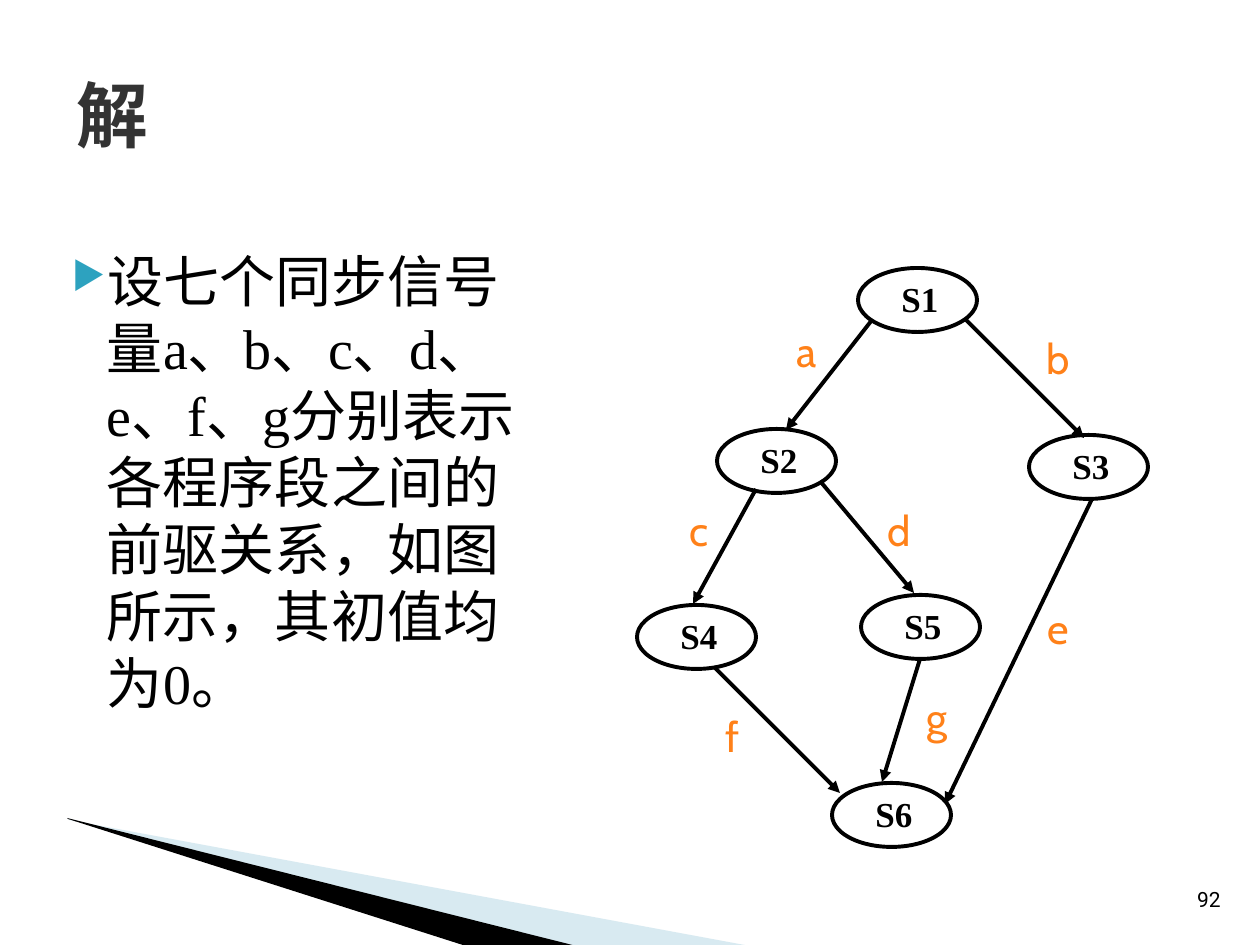
from dataclasses import dataclass

from lxml.etree import SubElement
from pptx import Presentation
from pptx.dml.color import RGBColor
from pptx.enum.shapes import MSO_CONNECTOR as Connector, MSO_SHAPE as Preset
from pptx.enum.text import MSO_ANCHOR as Anchor, PP_ALIGN as Align
from pptx.oxml.ns import qn
from pptx.util import Emu, Pt

SCALE = 914400 / 126


@dataclass(frozen=True)
class Theme:
    """Colours, fonts and type sizes of the slide."""
    ink: str = "000000"
    paper: str = "FFFFFF"
    heading: str = "333333"
    bullet: str = "2DA2BF"
    wedge: str = "9FCBDC"
    signal: str = "FF8119"
    serif: str = "Times New Roman"
    cjk: str = "Noto Sans CJK SC"
    label: str = "Cabin"
    number: str = "Roboto"
    heading_size: float = 41
    body_size: float = 32
    body_leading: float = 38.3
    signal_size: float = 24
    node_size: float = 20
    number_size: float = 12
    stroke: float = 2.25


THEME = Theme()
NODE_SIZE = (119, 64)
NODES = {"S1": (858, 268), "S2": (717, 429), "S3": (1029, 435),
         "S4": (637, 605), "S5": (861, 595), "S6": (832, 783)}
EDGES = [((872, 320), (786, 430)), ((966, 320), (1084, 438)),
         ((756, 489), (693, 604)), ((820, 481), (914, 593)),
         ((1092, 499), (945, 804)), ((714, 667), (840, 793)),
         ((920, 659), (882, 782))]
SIGNALS = {"a": (775, 324), "b": (1027, 331), "c": (668, 503),
           "d": (868, 503), "e": (1027, 601), "f": (701, 709), "g": (905, 690)}
BODY = "设七个同步信号量a、b、c、d、e、f、g分别表示各程序段之间的前驱关系，如图所示，其初值均为0。"


def px(length):
    """Turn pixels into EMU."""
    return Emu(round(length * SCALE))


def apply(target, values):
    """Set each named attribute on the target."""
    for name, value in values.items():
        setattr(target, name, value)


def paint(fill, color):
    """Give a fill one solid colour."""
    fill.solid()
    fill.fore_color.rgb = RGBColor.from_string(color)


def write(frame, text, face, size, color, align=Align.LEFT, bold=False, margins=(0, 0, 0, 0), **layout):
    """Put one styled paragraph into a text frame and return it."""
    sides = ("margin_left", "margin_top", "margin_right", "margin_bottom")
    apply(frame, dict(zip(sides, map(px, margins))) | layout)
    paragraph = frame.paragraphs[0]
    paragraph.alignment = align
    run = paragraph.add_run()
    run.text = text
    apply(run.font, {"name": face, "size": Pt(size), "bold": bold})
    run.font.color.rgb = RGBColor.from_string(color)
    SubElement(run.font._element, qn("a:ea"), typeface=THEME.cjk)
    return paragraph


def add_text(slide, box, *content, **style):
    """Add a text box with one styled paragraph."""
    frame = slide.shapes.add_textbox(*map(px, box)).text_frame
    return write(frame, *content, **style)


def add_bullet(paragraph, indent, hanging):
    """Give a paragraph a coloured triangle bullet."""
    properties = paragraph._p.get_or_add_pPr()
    properties.set("marL", str(px(indent)))
    properties.set("indent", str(-px(hanging)))
    color = SubElement(properties, qn("a:buClr"))
    SubElement(color, qn("a:srgbClr"), val=THEME.bullet)
    SubElement(properties, qn("a:buSzPct"), val="68000")
    SubElement(properties, qn("a:buChar"), char="▶")


def add_wedge(slide, corners, color, opacity=100):
    """Add a filled decorative wedge."""
    builder = slide.shapes.build_freeform(*corners[0], scale=SCALE)
    builder.add_line_segments(corners[1:], close=True)
    wedge = builder.convert_to_shape()
    wedge.shadow.inherit = False
    wedge.line.fill.background()
    paint(wedge.fill, color)
    tint = wedge._element.spPr.find(qn("a:solidFill"))[0]
    SubElement(tint, qn("a:alpha"), val=str(opacity * 1000))


def add_node(slide, name, corner):
    """Add a program segment as a labelled ellipse."""
    node = slide.shapes.add_shape(Preset.OVAL, *map(px, corner + NODE_SIZE))
    node.shadow.inherit = False
    paint(node.fill, THEME.paper)
    paint(node.line.fill, THEME.ink)
    node.line.width = Pt(THEME.stroke)
    write(node.text_frame, name, THEME.serif, THEME.node_size, THEME.ink, bold=True,
          margins=(26, 0, 0, 0), vertical_anchor=Anchor.TOP, word_wrap=True)


def add_edge(slide, start, end):
    """Add an arrow from one segment to its successor."""
    edge = slide.shapes.add_connector(Connector.STRAIGHT, *map(px, start + end))
    paint(edge.line.fill, THEME.ink)
    edge.line.width = Pt(THEME.stroke)
    SubElement(edge.line._get_or_add_ln(), qn("a:tailEnd"), type="triangle")
    SubElement(edge._element.spPr, qn("a:effectLst"))


def main():
    """Build the slide and save it."""
    deck = Presentation()
    apply(deck, {"slide_width": px(1260), "slide_height": px(945)})
    slide = deck.slides.add_slide(deck.slide_layouts[6])

    add_wedge(slide, [(69, 820), (750, 946), (575, 946), (69, 819)], THEME.wedge, 40)
    add_wedge(slide, [(67, 818), (576, 946), (469, 947), (68, 819)], THEME.ink)

    centred = {"align": Align.CENTER, "vertical_anchor": Anchor.MIDDLE, "word_wrap": False}
    add_text(slide, (1184, 880, 50, 38), "92", THEME.number, THEME.number_size, THEME.ink, **centred)
    add_text(slide, (64, 35, 1134, 158), "解", THEME.cjk, THEME.heading_size, THEME.heading,
             bold=True, margins=(13, 6, 13, 6), vertical_anchor=Anchor.MIDDLE, word_wrap=True)
    body = add_text(slide, (44, 234, 514, 604), BODY, THEME.serif, THEME.body_size, THEME.ink,
                    margins=(13, 13, 13, 6), word_wrap=True)
    body.line_spacing = Pt(THEME.body_leading)
    add_bullet(body, 50, 35)

    for name, corner in NODES.items():
        add_node(slide, name, corner)
    for start, end in EDGES:
        add_edge(slide, start, end)
    for signal, corner in SIGNALS.items():
        add_text(slide, corner + (63, 53), signal, THEME.label, THEME.signal_size, THEME.signal, **centred)

    deck.save("out.pptx")


if __name__ == "__main__":
    main()
